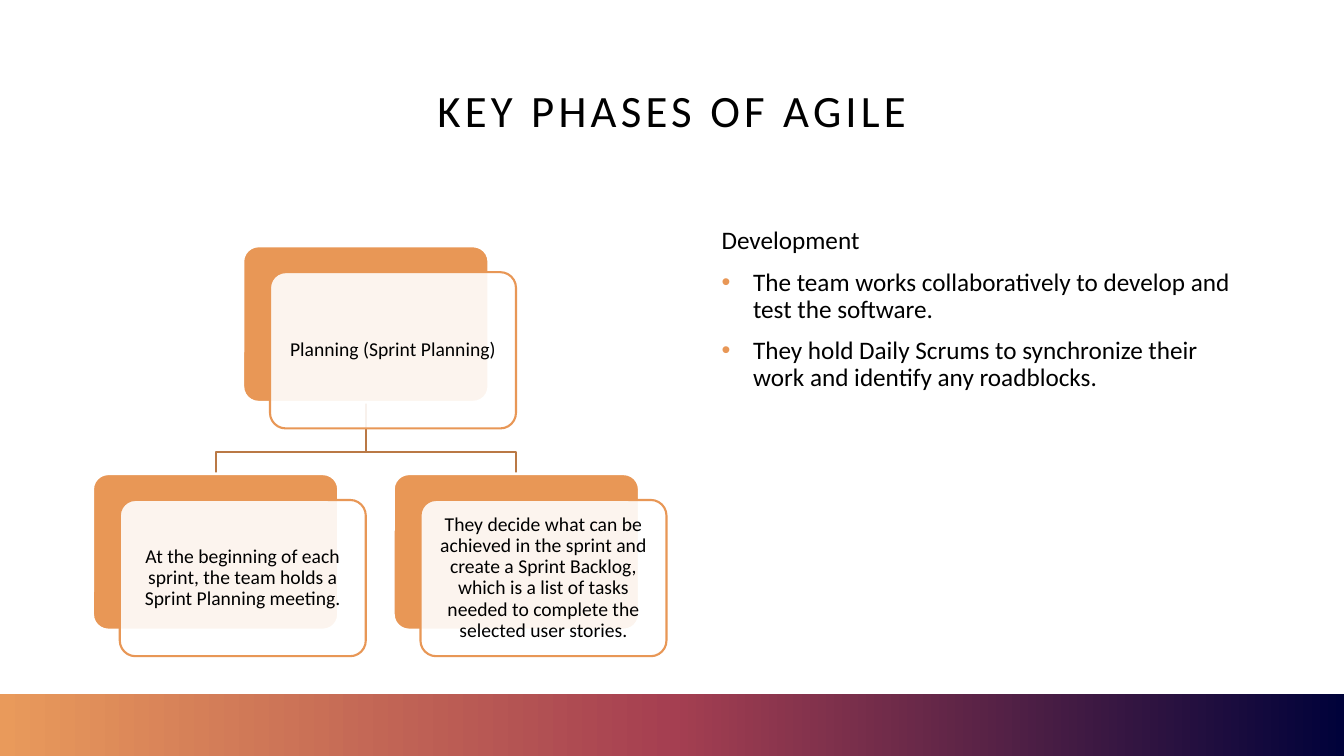
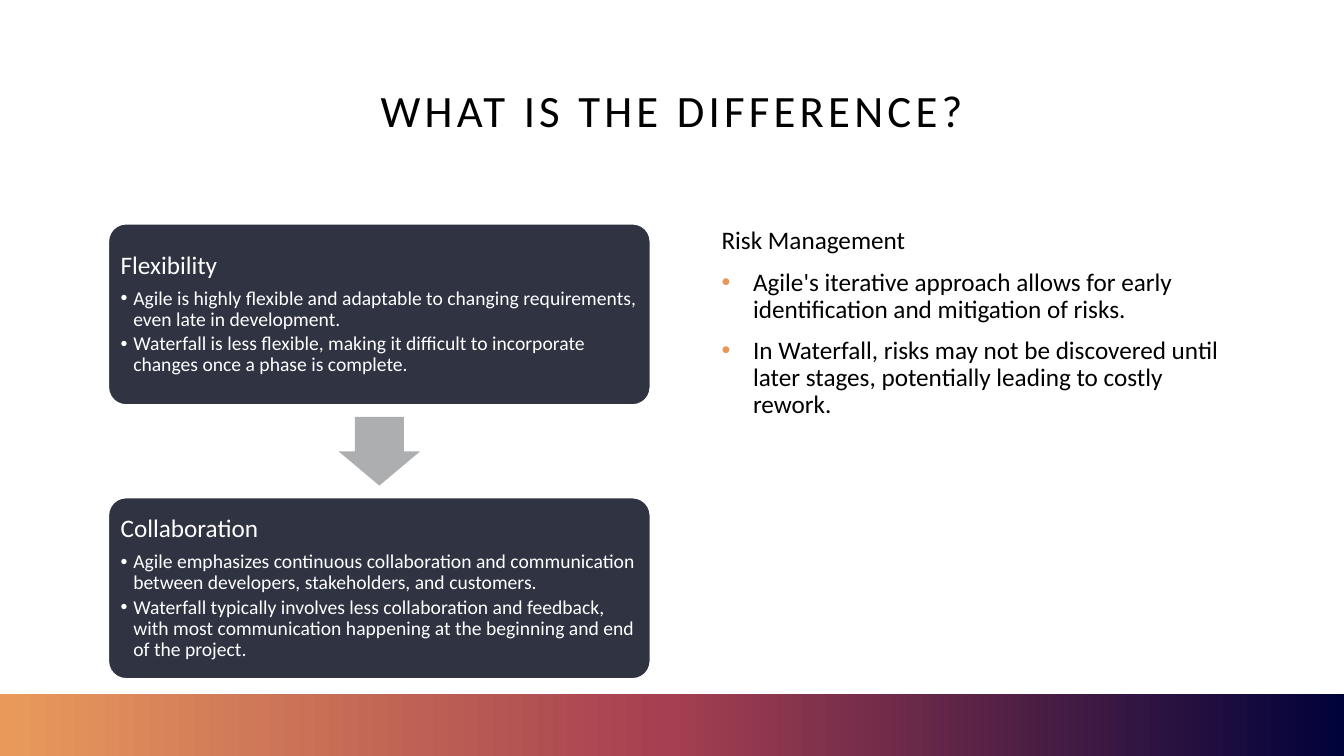
from copy import deepcopy
from dataclasses import dataclass
from typing import Optional

from lxml import etree
from pptx import Presentation
from pptx.dml.color import RGBColor
from pptx.enum.shapes import MSO_SHAPE
from pptx.enum.text import MSO_ANCHOR, PP_ALIGN
from pptx.oxml.ns import qn
from pptx.util import Pt

RECT = MSO_SHAPE.RECTANGLE
ROUNDED = MSO_SHAPE.ROUNDED_RECTANGLE
DOWN_ARROW = MSO_SHAPE.DOWN_ARROW
MIDDLE, TOP = MSO_ANCHOR.MIDDLE, MSO_ANCHOR.TOP
LEFT, CENTER = PP_ALIGN.LEFT, PP_ALIGN.CENTER

FONT = "Calibri"
COLORS = {
    "text": "000000",
    "white": "FFFFFF",
    "orange": "E89756",
    "branch": "BA7945",
    "panel": "2F3342",
    "arrow": "ADAEB0",
}
BAND_STOPS = ((0, "E99A5B"), (0.5, "A53F51"), (1, "00023A"))

SLIDE_W, SLIDE_H = 960, 540
BAND_H = 44
NODE_W, NODE_H = 175.7, 111.6
CARD_DX, CARD_DY = 19.4, 18.7
ELBOW_Y = 322.6
PANEL_X, PANEL_W, PANEL_H = 77, 388, 130.3
PANEL_TOP, PANEL_PITCH = 159.4, 195.6
ARROW_W, ARROW_H = 58.4, 49


@dataclass
class Box:
    x: float
    y: float
    w: float
    h: float


@dataclass
class Para:
    text: str
    size: float
    color: str = "text"
    align: PP_ALIGN = LEFT
    before: float = 0
    after: float = 0
    indent: float = 0
    bullet_color: Optional[str] = None
    spacing: int = 0


@dataclass
class Node:
    text: str
    x: float
    y: float


@dataclass
class Panel:
    heading: str
    points: tuple[str, ...]


TITLE = Box(66, 28.8, 828, 104.4)
BODY = Box(508.3, 159.3, 385.2, 325.4)

ROOT = Node("Planning (Sprint Planning)", 173.5, 175.7)
CHILDREN = (
    Node("At the beginning of each sprint, the team holds a Sprint Planning "
         "meeting.", 66.2, 338.4),
    Node("They decide what can be achieved in the sprint and create a Sprint "
         "Backlog, which is a list of tasks needed to complete the selected "
         "user stories.", 281, 338.4),
)
DEVELOPMENT = Panel("Development", (
    "The team works collaboratively to develop and test the software.",
    "They hold Daily Scrums to synchronize their work and identify any "
    "roadblocks.",
))
RISK = Panel("Risk Management", (
    "Agile's iterative approach allows for early identification and "
    "mitigation of risks.",
    "In Waterfall, risks may not be discovered until later stages, "
    "potentially leading to costly rework.",
))
PANELS = (
    Panel("Flexibility", (
        "Agile is highly flexible and adaptable to changing requirements, "
        "even late in development.",
        "Waterfall is less flexible, making it difficult to incorporate "
        "changes once a phase is complete.",
    )),
    Panel("Collaboration", (
        "Agile emphasizes continuous collaboration and communication between "
        "developers, stakeholders, and customers.",
        "Waterfall typically involves less collaboration and feedback, with "
        "most communication happening at the beginning and end of the "
        "project.",
    )),
)


def rgb(name: str) -> RGBColor:
    return RGBColor.from_string(COLORS[name])


def add_bullet(p, para: Para) -> None:
    pPr = p._p.get_or_add_pPr()
    pPr.set("marL", str(Pt(para.indent)))
    pPr.set("indent", str(-Pt(para.indent)))
    clr = etree.SubElement(pPr, qn("a:buClr"))
    etree.SubElement(clr, qn("a:srgbClr"), val=COLORS[para.bullet_color])
    etree.SubElement(pPr, qn("a:buFont"), typeface="Arial")
    etree.SubElement(pPr, qn("a:buChar"), char="•")


def write(sp, paras: list[Para], anchor=TOP, inset: Optional[float] = None) -> None:
    tf = sp.text_frame
    tf.word_wrap = True
    tf.vertical_anchor = anchor
    if inset is not None:
        tf.margin_left = tf.margin_right = Pt(inset)
        tf.margin_top = tf.margin_bottom = Pt(inset)
    for i, para in enumerate(paras):
        p = tf.add_paragraph() if i else tf.paragraphs[0]
        p.alignment = para.align
        p.line_spacing = 0.9
        p.space_before = Pt(para.before)
        p.space_after = Pt(para.after)
        if para.bullet_color:
            add_bullet(p, para)
        r = p.add_run()
        r.text = para.text
        r.font.name = FONT
        r.font.size = Pt(para.size)
        r.font.color.rgb = rgb(para.color)
        if para.spacing:
            r._r.get_or_add_rPr().set("spc", str(para.spacing * 100))


def add_text(s, box: Box, paras: list[Para], anchor=TOP) -> None:
    sp = s.shapes.add_textbox(Pt(box.x), Pt(box.y), Pt(box.w), Pt(box.h))
    write(sp, paras, anchor)


def add_shape(s, kind, box: Box, fill: str, line: Optional[str] = None,
              width: float = 2):
    sp = s.shapes.add_shape(kind, Pt(box.x), Pt(box.y), Pt(box.w), Pt(box.h))
    sp.shadow.inherit = False
    sp.fill.solid()
    sp.fill.fore_color.rgb = rgb(fill)
    if line:
        sp.line.color.rgb = rgb(line)
        sp.line.width = Pt(width)
    else:
        sp.line.fill.background()
    if kind == ROUNDED:
        sp.adjustments[0] = 0.1
    return sp


def add_band(s) -> None:
    sp = add_shape(s, RECT, Box(0, SLIDE_H - BAND_H, SLIDE_W, BAND_H), "orange")
    sp.fill.gradient()
    sp.fill.gradient_angle = 0
    first = sp._element.spPr.find(".//" + qn("a:gs"))
    first.addnext(deepcopy(first))
    for stop, (position, color) in zip(sp.fill.gradient_stops, BAND_STOPS):
        stop.position = position
        stop.color.rgb = RGBColor.from_string(color)


def add_slide(prs, title: str, side: Panel):
    s = prs.slides.add_slide(prs.slide_layouts[6])
    add_band(s)
    add_text(s, TITLE, [Para(title, 32, align=CENTER, spacing=3)], MIDDLE)
    points = [Para(t, 18, before=10, indent=22.5, bullet_color="orange")
              for t in side.points]
    add_text(s, BODY, [Para(side.heading, 18)] + points)
    return s


def add_branch(s, parent: Node, child: Node) -> None:
    x1, x2 = (Pt(n.x + NODE_W / 2) for n in (parent, child))
    top = Pt(parent.y + NODE_H)
    fb = s.shapes.build_freeform(x1, top)
    fb.add_line_segments(
        [(x1, Pt(ELBOW_Y)), (x2, Pt(ELBOW_Y)), (x2, Pt(child.y))], close=False)
    sp = fb.convert_to_shape()
    sp.shadow.inherit = False
    sp.fill.background()
    sp.line.color.rgb = rgb("branch")
    sp.line.width = Pt(1.5)


def add_node(s, node: Node) -> None:
    add_shape(s, ROUNDED, Box(node.x, node.y, NODE_W, NODE_H), "orange", "white")
    card = Box(node.x + CARD_DX, node.y + CARD_DY, NODE_W, NODE_H)
    sp = add_shape(s, ROUNDED, card, "white", "orange", 1.5)
    color = sp._element.spPr.find(qn("a:solidFill")).find(qn("a:srgbClr"))
    etree.SubElement(color, qn("a:alpha"), val="90000")
    write(sp, [Para(node.text, 14, align=CENTER, after=4.9)], MIDDLE, 4.2)


def add_panel(s, panel: Panel, y: float) -> None:
    sp = add_shape(s, ROUNDED, Box(PANEL_X, y, PANEL_W, PANEL_H), "panel", "white")
    points = [Para(t, 14, "white", after=2.1, indent=9, bullet_color="white")
              for t in panel.points]
    write(sp, [Para(panel.heading, 18, "white", after=6.3)] + points, MIDDLE, 5.4)


def build_phases(prs) -> None:
    s = add_slide(prs, "KEY PHASES OF AGILE", DEVELOPMENT)
    for child in reversed(CHILDREN):
        add_branch(s, ROOT, child)
    for node in (ROOT, *CHILDREN):
        add_node(s, node)


def build_difference(prs) -> None:
    s = add_slide(prs, "WHAT IS THE DIFFERENCE?", RISK)
    for i, panel in enumerate(PANELS):
        add_panel(s, panel, PANEL_TOP + i * PANEL_PITCH)
    gap_mid = PANEL_TOP + (PANEL_H + PANEL_PITCH) / 2
    arrow = Box(PANEL_X + (PANEL_W - ARROW_W) / 2, gap_mid - ARROW_H / 2,
                ARROW_W, ARROW_H)
    sp = add_shape(s, DOWN_ARROW, arrow, "arrow")
    sp.adjustments[0] = 0.6
    sp.adjustments[1] = 0.5


def main() -> None:
    prs = Presentation()
    prs.slide_width, prs.slide_height = Pt(SLIDE_W), Pt(SLIDE_H)
    build_phases(prs)
    build_difference(prs)
    prs.save("out.pptx")


if __name__ == "__main__":
    main()
